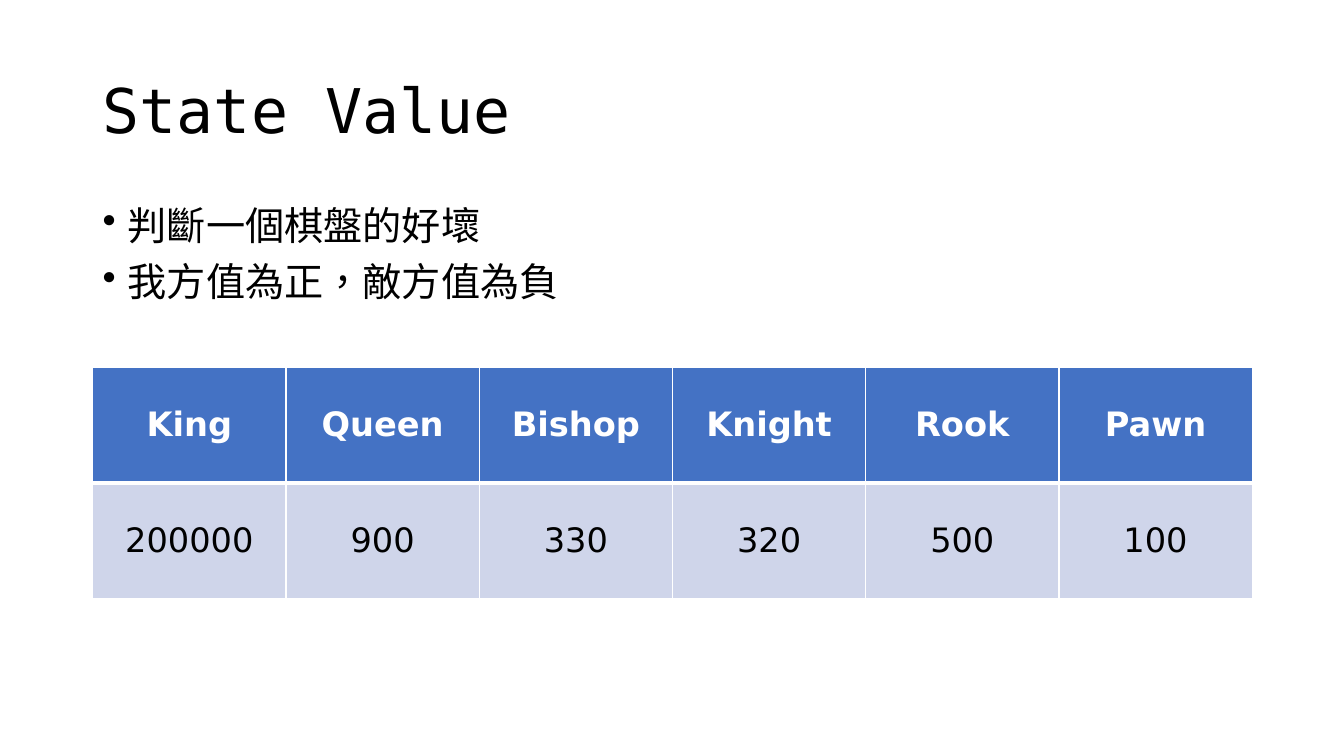
import dataclasses

import pptx
import pptx.dml.color
import pptx.enum.lang
import pptx.enum.text
import pptx.oxml
import pptx.oxml.ns
import pptx.util

Inches = pptx.util.Inches
Pt = pptx.util.Pt
ALIGN = pptx.enum.text.PP_ALIGN
ANCHOR = pptx.enum.text.MSO_ANCHOR


@dataclasses.dataclass(frozen=True)
class Theme:
    sans: str = "DejaVu Sans"
    mono: str = "DejaVu Sans Mono"
    dark: str = "000000"
    light: str = "FFFFFF"
    head: str = "4472C4"
    band: str = "CFD5EA"
    title: int = 44
    body: int = 28
    cell: int = 24


THEME = Theme()
LEFT, WIDTH = 0.92, 11.5
POINTS = ["判斷一個棋盤的好壞", "我方值為正，敵方值為負"]
VALUES = {"King": 200000, "Queen": 900, "Bishop": 330,
          "Knight": 320, "Rook": 500, "Pawn": 100}


def color(code):
    return pptx.dml.color.RGBColor.from_string(code)


def style(para, face, size, code, bold=False):
    font = para.font
    font.name, font.size, font.bold = face, Pt(size), bold
    font.color.rgb = color(code)


def add_box(slide, top, height, anchor):
    box = slide.shapes.add_textbox(
        Inches(LEFT), Inches(top), Inches(WIDTH), Inches(height))
    frame = box.text_frame
    frame.word_wrap = True
    frame.vertical_anchor = anchor
    return frame


def add_title(slide, text):
    para = add_box(slide, 0.4, 1.45, ANCHOR.MIDDLE).paragraphs[0]
    para.text = text
    para.line_spacing = 0.9
    style(para, THEME.mono, THEME.title, THEME.dark)


def add_bullets(slide, lines):
    frame = add_box(slide, 2, 4.76, ANCHOR.TOP)
    frame.text = "\n".join(lines)
    for para in frame.paragraphs:
        para.line_spacing = 0.9
        para.space_before = Pt(10)
        style(para, THEME.sans, THEME.body, THEME.dark)
        para.font.language_id = pptx.enum.lang.MSO_LANGUAGE_ID.TRADITIONAL_CHINESE
        # Bullet and hanging indent
        props = para._p.get_or_add_pPr()
        props.set("marL", str(Inches(0.25)))
        props.set("indent", str(-Inches(0.25)))
        mark = pptx.oxml.parse_xml(
            f'<a:buChar {pptx.oxml.ns.nsdecls("a")} char="•"/>')
        props.insert_element_before(mark, "a:tabLst", "a:defRPr", "a:extLst")


def set_edges(cell, widths):
    props = cell._tc.get_or_add_tcPr()
    for spot, (side, width) in enumerate(widths.items()):
        props.insert(spot, pptx.oxml.parse_xml(
            f'<a:ln{side} {pptx.oxml.ns.nsdecls("a")} w="{Pt(width)}">'
            f'<a:solidFill><a:srgbClr val="{THEME.light}"/></a:solidFill>'
            f'</a:ln{side}>'))


def add_grid(slide, values):
    rows = [(values.keys(), THEME.head, THEME.light, True),
            (values.values(), THEME.band, THEME.dark, False)]
    grid = slide.shapes.add_table(
        len(rows), len(values), Inches(LEFT), Inches(3.64),
        Inches(WIDTH), Inches(2.3)).table
    grid.horz_banding = False
    for row, (texts, fill, ink, bold) in enumerate(rows):
        for col, text in enumerate(texts):
            cell = grid.cell(row, col)
            cell.text = str(text)
            cell.vertical_anchor = ANCHOR.MIDDLE
            cell.fill.solid()
            cell.fill.fore_color.rgb = color(fill)
            para = cell.text_frame.paragraphs[0]
            para.alignment = ALIGN.CENTER
            style(para, THEME.sans, THEME.cell, ink, bold)
            # A thick rule parts the header from the values
            set_edges(cell, {"L": 1, "R": 1, "T": 1 if bold else 3,
                             "B": 3 if bold else 1})


def main():
    deck = pptx.Presentation()
    deck.slide_width, deck.slide_height = Inches(13.33), Inches(7.5)
    slide = deck.slides.add_slide(deck.slide_layouts[6])
    # Heading and points
    add_title(slide, "State Value")
    add_bullets(slide, POINTS)
    # Piece values
    add_grid(slide, VALUES)
    deck.save("out.pptx")


if __name__ == "__main__":
    main()
